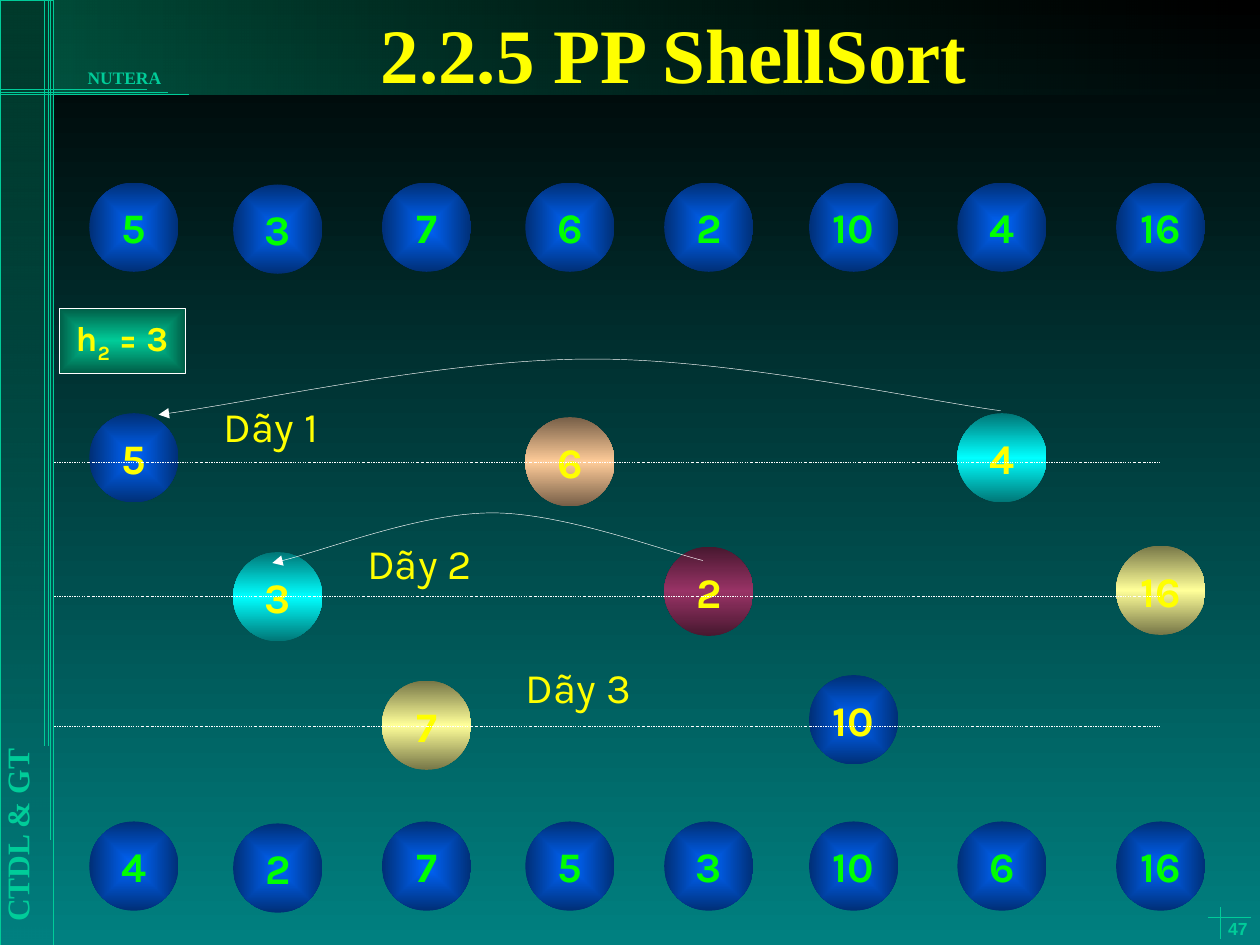
from itertools import pairwise

from lxml import etree
from pptx import Presentation
from pptx.dml.color import RGBColor
from pptx.enum.dml import MSO_LINE
from pptx.enum.shapes import MSO_CONNECTOR, MSO_SHAPE
from pptx.enum.text import MSO_ANCHOR, MSO_AUTO_SIZE, PP_ALIGN
from pptx.oxml.ns import qn
from pptx.util import Cm, Pt

LEFT, CENTER, RIGHT = PP_ALIGN.LEFT, PP_ALIGN.CENTER, PP_ALIGN.RIGHT
TOP, MIDDLE, BOTTOM = MSO_ANCHOR.TOP, MSO_ANCHOR.MIDDLE, MSO_ANCHOR.BOTTOM
RECTANGLE, OVAL = MSO_SHAPE.RECTANGLE, MSO_SHAPE.OVAL
STRAIGHT, DASH_DOT = MSO_CONNECTOR.STRAIGHT, MSO_LINE.DASH_DOT

BLACK = RGBColor(0x00, 0x00, 0x00)
WHITE = RGBColor(0xFF, 0xFF, 0xFF)
TEAL = RGBColor(0x00, 0x80, 0x80)
MINT = RGBColor(0x00, 0xCC, 0x99)
FOREST = RGBColor(0x00, 0x5E, 0x47)
YELLOW = RGBColor(0xFF, 0xFF, 0x00)
LIME = RGBColor(0x00, 0xFF, 0x00)
BLUE = RGBColor(0x00, 0x66, 0xFF)
NAVY = RGBColor(0x00, 0x2F, 0x76)
CYAN = RGBColor(0x00, 0xFF, 0xFF)
DARK_CYAN = RGBColor(0x00, 0x76, 0x76)
CREAM = RGBColor(0xFF, 0xFF, 0x99)
OLIVE = RGBColor(0x76, 0x76, 0x47)
PEACH = RGBColor(0xFF, 0xCC, 0x99)
BROWN = RGBColor(0x76, 0x5E, 0x47)
PLUM = RGBColor(0x99, 0x33, 0x66)
DARK_PLUM = RGBColor(0x47, 0x18, 0x2F)
SERIF, SANS, NUMBER_FONT = "Times New Roman", "Karla", "Arial"

WIDTH, HEIGHT = 25.4, 19.05
SIDEBAR, HEADER = 1.07, 1.9
BALL = 1.8
HAIRLINE = 0.25

COLUMNS = [1.8, 4.7, 7.7, 10.59, 13.39, 16.31, 19.3, 22.5]
SECOND_COLUMN_DROP = 0.04
ROWS = [
    (3.68, ["5", "3", "7", "6", "2", "10", "4", "16"]),
    (16.56, ["4", "2", "7", "5", "3", "10", "6", "16"]),
]
BLUE_GLOW = [(BLUE, 100), (NAVY, 100)]
SPLIT_BALLS = [
    ("5", 8.33, None),
    ("3", 11.13, (DARK_CYAN, CYAN)),
    ("7", 13.72, (OLIVE, CREAM)),
    ("6", 8.41, (BROWN, PEACH)),
    ("2", 11.02, (DARK_PLUM, PLUM)),
    ("10", 13.61, None),
    ("4", 8.33, (DARK_CYAN, CYAN)),
    ("16", 11.0, (OLIVE, CREAM)),
]
TRACKS = [9.32, 12.01, 14.63]
LABELS = [("Dãy 1", 4.09, 7.95), ("Dãy 2", 7.09, 10.72), ("Dãy 3", 10.29, 13.21)]
SWAP_CURVES = [
    [(20.17, 8.28), (18.77, 8.1), (14.68, 7.21), (11.86, 7.24),
     (9.04, 7.24), (5.0, 8.13), (3.2, 8.36)],
    [(14.17, 11.3), (13.46, 11.13), (11.38, 10.34), (9.93, 10.34),
     (8.48, 10.34), (6.43, 11.15), (5.49, 11.35)],
]
FRAME_LINES = [
    (0.97, 0, 0.97, 15.04), (1.02, 0, 1.02, 16.94), (0.89, 0, 0.89, 15.04),
    (0, 1.8, 2.97, 1.8), (0, 1.9, 3.81, 1.9), (0, 1.85, 3.38, 1.85),
    (24.36, 18.49, 25.22, 18.49), (24.59, 18.29, 24.59, 18.92),
]


def write(shape, *spans, size=24, font=SANS, color=YELLOW, bold=True,
          align=CENTER, anchor=MIDDLE, wrap=False, before=0):
    frame = shape.text_frame
    frame.word_wrap = wrap
    frame.auto_size = MSO_AUTO_SIZE.NONE
    frame.vertical_anchor = anchor
    para = frame.paragraphs[0]
    para.alignment = align
    para.space_before = Pt(before)
    for text in spans:
        span = para.add_run()
        span.text = text
        span.font.size = Pt(size)
        span.font.name = font
        span.font.bold = bold
        span.font.color.rgb = color


def add_textbox(page, left, top, width, height, text, **style):
    box = page.shapes.add_textbox(Cm(left), Cm(top), Cm(width), Cm(height))
    write(box, text, **style)
    return box


def fill_gradient(shape, stops, angle=None):
    gradient = etree.Element(qn("a:gradFill"), rotWithShape="1")
    stop_list = etree.SubElement(gradient, qn("a:gsLst"))
    for index, (color, opacity) in enumerate(stops):
        position = index * 100000 // (len(stops) - 1)
        stop = etree.SubElement(stop_list, qn("a:gs"), pos=str(position))
        tint = etree.SubElement(stop, qn("a:srgbClr"), val=str(color))
        if opacity < 100:
            etree.SubElement(tint, qn("a:alpha"), val=str(opacity * 1000))
    if angle is None:
        route = etree.SubElement(gradient, qn("a:path"), path="rect")
        etree.SubElement(route, qn("a:fillToRect"), dict.fromkeys("ltrb", "50000"))
    else:
        etree.SubElement(gradient, qn("a:lin"), ang=str(angle * 60000), scaled="0")
    shape.element.spPr.find(qn("a:prstGeom")).addnext(gradient)


def add_filled(page, kind, left, top, width, height, stops, angle=None, outline=None):
    shape = page.shapes.add_shape(kind, Cm(left), Cm(top), Cm(width), Cm(height))
    shape.shadow.inherit = False
    fill_gradient(shape, stops, angle)
    if outline is None:
        shape.line.fill.background()
    else:
        shape.line.color.rgb = outline
        shape.line.width = Pt(HAIRLINE)
    return shape


def add_ball(page, left, top, number, color, shades=None):
    if shades:
        edge, middle = shades
        stops, angle = [(edge, 100), (middle, 100), (edge, 100)], 90
    else:
        stops, angle = BLUE_GLOW, None
    write(add_filled(page, OVAL, left, top, BALL, BALL, stops, angle), number, color=color)


def add_line(page, ends, color, dash=None):
    line = page.shapes.add_connector(STRAIGHT, *map(Cm, ends))
    line.line.color.rgb = color
    line.line.width = Pt(HAIRLINE)
    if dash:
        line.line.dash_style = dash
    etree.SubElement(line.element.spPr, qn("a:effectLst"))


def add_swap_curve(page, points):
    start, *others = [(Cm(x), Cm(y)) for x, y in points]
    builder = page.shapes.build_freeform(*start, scale=1.0)
    builder.add_line_segments(others, close=False)
    curve = builder.convert_to_shape()
    curve.shadow.inherit = False
    curve.fill.background()
    curve.line.color.rgb = WHITE
    curve.line.width = Pt(HAIRLINE)
    properties = curve.element.spPr
    etree.SubElement(properties.find(qn("a:ln")), qn("a:tailEnd"), type="triangle")
    segments = list(properties.iter(qn("a:lnTo")))
    for first, last in pairwise(range(0, len(segments) + 1, 3)):
        bezier = etree.Element(qn("a:cubicBezTo"))
        segments[first].addprevious(bezier)
        for segment in segments[first:last]:
            bezier.append(segment[0])
            segment.getparent().remove(segment)


def add_frame(page):
    add_filled(page, RECTANGLE, 0, 0, WIDTH, HEIGHT, [(BLACK, 100), (TEAL, 100)], 90)
    add_filled(page, RECTANGLE, 0, 0, SIDEBAR, HEIGHT, [(MINT, 29), (FOREST, 0)], 90, MINT)
    add_filled(page, RECTANGLE, SIDEBAR, 0, WIDTH - SIDEBAR, HEADER,
               [(MINT, 37), (FOREST, 0)], 0)
    for ends in FRAME_LINES:
        add_line(page, ends, MINT)
    course = add_textbox(page, -4.95, 13.03, 10.59, 1.02, "CTDL & GT", size=18, font=SERIF,
                         color=MINT, align=LEFT, anchor=TOP, wrap=True, before=11.2)
    course.rotation = 270
    add_textbox(page, 0.3, 1.22, 3.2, 0.69, "NUTERA", size=10, font=SERIF,
                color=MINT, align=RIGHT, anchor=TOP, wrap=True, before=6.2)
    add_textbox(page, 24.13, 18.62, 1.27, 0.43, "47", size=10, font=NUMBER_FONT,
                color=MINT, align=RIGHT, anchor=BOTTOM, wrap=True)


def add_title(page):
    title = page.shapes.title
    title.left, title.top, title.width, title.height = map(Cm, (2.79, 0, 21.59, 2.13))
    write(title, "2.2.5 PP ShellSort", size=44, font=SERIF, wrap=True)
    title.element.getparent().append(title.element)


def main():
    deck = Presentation()
    deck.slide_width, deck.slide_height = Cm(WIDTH), Cm(HEIGHT)
    page = deck.slides.add_slide(deck.slide_layouts[5])
    add_frame(page)
    add_title(page)
    for left, (number, top, shades) in zip(COLUMNS, SPLIT_BALLS):
        add_ball(page, left, top, number, YELLOW, shades)
    for height in TRACKS:
        add_line(page, (1.09, height, 23.39, height), WHITE, DASH_DOT)
    for text, left, top in LABELS:
        add_textbox(page, left, top, 2.74, 1.27, text, bold=False, anchor=TOP)
    step = add_filled(page, RECTANGLE, 1.19, 6.22, 2.54, 1.3,
                      [(MINT, 100), (FOREST, 100)], outline=WHITE)
    write(step, "h", "2", " = 3", size=20)
    list(step.element.iter(qn("a:rPr")))[1].set("baseline", "-25000")
    for points in SWAP_CURVES:
        add_swap_curve(page, points)
    for top, numbers in ROWS:
        for index, (left, number) in enumerate(zip(COLUMNS, numbers)):
            drop = SECOND_COLUMN_DROP if index == 1 else 0
            add_ball(page, left, top + drop, number, LIME)
    deck.save("out.pptx")


if __name__ == "__main__":
    main()
